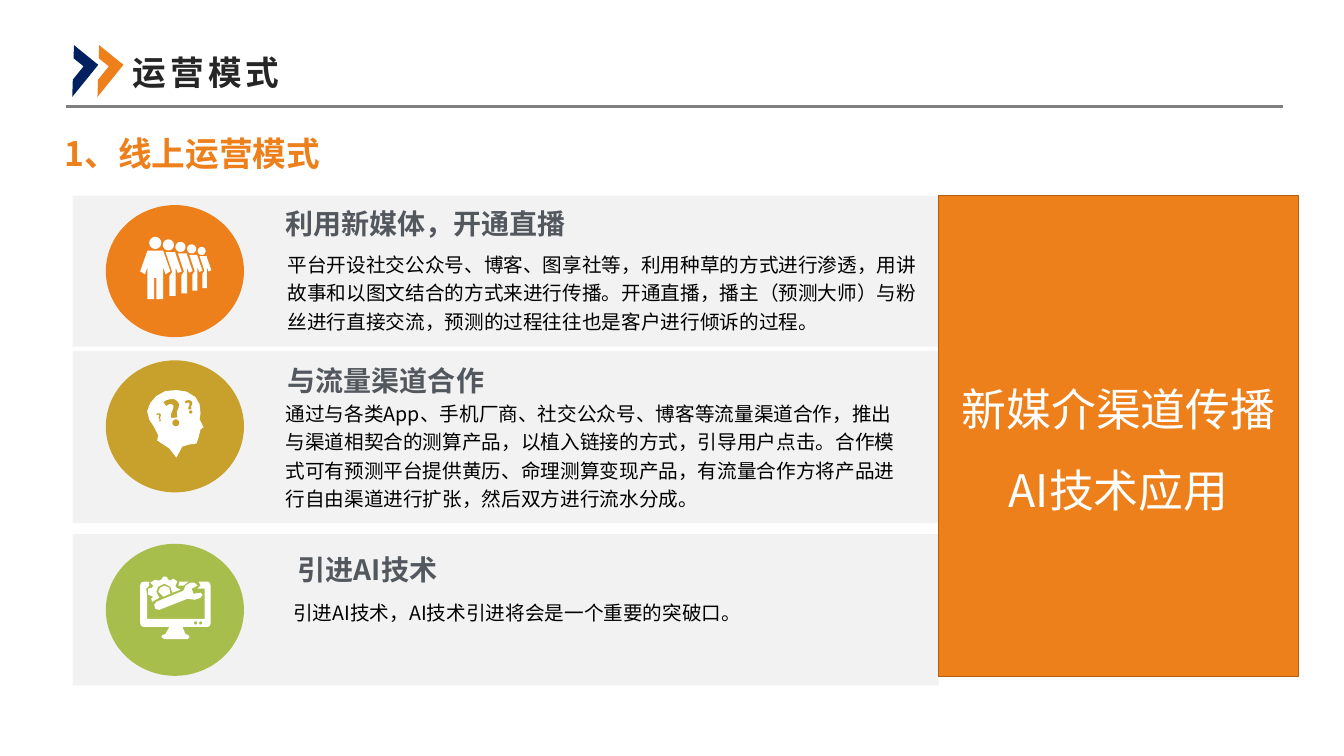
"""Build the slide on online operating modes, laid out on a grid of tenths of an inch."""
from math import cos, pi, sin

from lxml import etree
from pptx import Presentation
from pptx.dml.color import RGBColor
from pptx.enum import shapes, text
from pptx.oxml import ns
from pptx.util import Inches, Pt

theme = {
    "orange": "EE801C", "gold": "C8A02C", "green": "A7BD4C", "navy": "002060",
    "rust": "B05F15", "band": "F2F2F2", "rule": "808080", "white": "FFFFFF",
    "ink": "262626", "slate": "53585F", "black": "000000",
    "sans": "Noto Sans CJK SC", "latin": "Arial",
    "big": 32, "head": 24, "name": 20, "body": 14,
}
kinds = shapes.MSO_SHAPE
cell = Inches(0.1)


def draw(home, kind, box, fill, line=None):
    """Add a preset shape without shadow, with a solid fill."""
    shape = home.add_shape(kind, *(round(n * cell) for n in box))
    shape.shadow.inherit = False
    shape.fill.solid()
    shape.fill.fore_color.rgb = RGBColor.from_string(theme[fill])
    if line:
        shape.line.color.rgb = RGBColor.from_string(theme[line])
        shape.line.width = Pt(1)
    else:
        shape.line.fill.background()
    return shape


def write(shape, lines, size, tint, bold=False, face="sans", space=1.2, align="LEFT"):
    """Fill a shape with formatted paragraphs."""
    frame = shape.text_frame
    frame.word_wrap = True
    frame.auto_size = text.MSO_AUTO_SIZE.NONE
    frame.text = "\n".join(lines)
    look = {"size": Pt(theme[size]), "bold": bold, "name": theme[face]}
    for para in frame.paragraphs:
        para.line_spacing = space
        para.alignment = text.PP_ALIGN[align]
        for run in para.runs:
            run.font.color.rgb = RGBColor.from_string(theme[tint])
            for key, value in look.items():
                setattr(run.font, key, value)
            east = etree.SubElement(run._r.get_or_add_rPr(), ns.qn("a:ea"))
            east.set("typeface", theme["sans"])
    return frame


deck = Presentation()
deck.slide_width, deck.slide_height = Inches(13.33), Inches(7.5)
page = deck.slides.add_slide(deck.slide_layouts[5])
canvas = page.shapes

title = canvas.title
place = {"left": 12.15, "top": 3.25, "width": 22.3, "height": 7.7}
for key, value in place.items():
    setattr(title, key, round(value * cell))
frame = write(title, ["运营模式"], "head", "ink", True, "latin", 1.0)
frame.vertical_anchor = text.MSO_ANCHOR.MIDDLE
frame.paragraphs[0].runs[0]._r.get_or_add_rPr().set("spc", "300")

ends = [round(n * cell) for n in (6.55, 10.6, 127.25, 10.6)]
rule = canvas.add_connector(shapes.MSO_CONNECTOR.STRAIGHT, *ends)
rule.line.color.rgb = RGBColor.from_string(theme["rule"])
rule.line.width = Pt(2.25)
etree.SubElement(rule._element.spPr, ns.qn("a:effectLst"))

marks = canvas.add_group_shape().shapes
for left, tint in ((5.2, "navy"), (7.7, "orange")):
    draw(marks, kinds.HALF_FRAME, (left, 5.5, 4.1, 3.1), tint).rotation = 129

box = [round(n * cell) for n in (5.45, 11.9, 55.9, 5.2)]
write(canvas.add_textbox(*box), ["1、线上运营模式"], "head", "orange", True)

disc = [(cos(k * pi / 8), sin(k * pi / 8)) for k in range(16)]
torso = [(-1.3, 1.3), (1.3, 1.3), (2.5, 4.7), (1.7, 5.2), (1.3, 4), (1.3, 9.3),
         (0.2, 9.3), (0.2, 5.8), (-0.2, 5.8), (-0.2, 9.3), (-1.3, 9.3),
         (-1.3, 4), (-1.7, 5.2), (-2.5, 4.7)]
flank = [(-0.5, 1.3), (1.2, 1.3), (2.4, 4.8), (1.7, 5.1), (1.3, 4), (1.3, 9.2),
         (0.2, 9.2), (0.2, 5.6), (0.7, 4.9)]
crowd = []
for i in range(5):
    spot = (15.4 + 1.35 * i - 0.05 * i * i, 24.1 + 0.2 * i, 0.6 - 0.05 * i)
    crowd += [(disc, *spot), (flank if i else torso, *spot)]

face = [(2.9, 0), (3.9, 0.15), (4.8, 0.7), (5.2, 1.4), (5.3, 2.3), (5.2, 2.9),
        (5.6, 3.7), (5.3, 3.9), (5.2, 4.3), (5.1, 4.7), (5, 5), (4.9, 5.3),
        (4.2, 5.4), (3.5, 5.6), (2.9, 6.7), (2.2, 5.8), (1, 5), (1.1, 4.5),
        (0.7, 3.7), (0.2, 2.9), (0, 2.1), (0.3, 1.3), (0.9, 0.6), (1.8, 0.1)]
hook = [(0, 3), (3, 1), (7, 0), (11, 0), (14, 2), (16, 5), (15, 9), (13.5, 13),
        (14, 18), (8, 19), (7.5, 15), (10, 9), (10, 6), (8, 5), (6, 5), (3, 7)]
mind = [(face, 14.6, 38.7, 1)]
for x, y, k in ((16.2, 39.6, 0.1), (18.3, 39.7, 0.05), (15.5, 41, 0.03)):
    mind += [(hook, x, y, k), (disc, x + 12.5 * k, y + 23.5 * k, 3.5 * k)]

screen = [(0.9, 0.5), (0.4, 0.5), (0.1, 0.6), (0, 0.9), (0, 4.6), (0.1, 4.9),
          (0.4, 5), (2.9, 5), (2.5, 5.7), (2.2, 5.8), (2.1, 6), (2.4, 6.2),
          (4.7, 6.2), (4.9, 6), (4.8, 5.8), (4.5, 5.7), (4.2, 5), (6.7, 5),
          (6.9, 4.9), (7, 4.6), (7, 0.9), (6.9, 0.6), (6.7, 0.5), (5.8, 0.5),
          (6, 0.9), (5.7, 1.2), (6.4, 1.2), (6.4, 4.2), (0.7, 4.2), (0.7, 1.9),
          (0.6, 1.2), (0.9, 0.9)]
strip = [(3.9, 0.5), (4.8, 0.5), (4.3, 0.9), (3.8, 0.9)]
gear = [(0.8, 1.8), (0.8, 1.2), (1.2, 1.1), (1.3, 0.9), (1, 0.6), (1.5, 0.3),
        (1.8, 0.4), (2.1, 0.3), (2.3, 0), (2.6, 0), (2.8, 0.3), (3, 0.4),
        (3.3, 0.2), (3.7, 0.5), (3.5, 0.9), (3.6, 1.1), (4, 1.3), (3.2, 1.6),
        (3, 1), (2.4, 0.7), (1.8, 1), (1.6, 1.5), (1.9, 2.1), (1.2, 2.5),
        (1.1, 2.2), (1.3, 2)]
hub = [(2.4, 0.9), (2.9, 1.1), (3, 1.7), (2.3, 2), (1.8, 1.5), (2, 1.1)]
wrench = [(1.6, 2.5), (4.3, 1.4), (4.5, 0.9), (5, 0.6), (5.4, 0.6), (5.7, 0.9),
          (5.1, 1.2), (5.3, 1.7), (6, 1.6), (6.2, 1.8), (6, 2.1), (5.4, 2.3),
          (4.7, 2.2), (1.9, 3.3), (1.5, 3.2), (1.4, 2.8)]
tools = [(part, 13.9, 57.2, 1) for part in (screen, strip, gear, hub, wrench)]
tools += [(disc, x, 61.8, 0.16) for x in (19.4, 19.9)]

rows = [
    (19.4, 15, "orange", crowd,
     "利用新媒体，开通直播", (27.33, 19.35, 31.3, 5),
     "平台开设社交公众号、博客、图享社等，利用种草的方式进行渗透，用讲故事和以图文结合的方式来进行传播。"
     "开通直播，播主（预测大师）与粉丝进行直接交流，预测的过程往往也是客户进行倾诉的过程。",
     (27.55, 24.15, 64.4, 9.5)),
    (34.8, 17.1, "gold", mind,
     "与流量渠道合作", (27.55, 34.9, 25.5, 5),
     "通过与各类App、手机厂商、社交公众号、博客等流量渠道合作，推出与渠道相契合的测算产品，"
     "以植入链接的方式，引导用户点击。合作模式可有预测平台提供黄历、命理测算变现产品，"
     "有流量合作方将产品进行自由渠道进行扩张，然后双方进行流水分成。",
     (27.33, 38.93, 63.5, 12.3)),
    (53, 15, "green", tools,
     "引进AI技术", (28.55, 53.65, 25.5, 5),
     "引进AI技术，AI技术引进将会是一个重要的突破口。", (28.1, 58.7, 58.5, 3.8)),
]
for top, tall, tint, icon, name, spot, story, area in rows:
    group = canvas.add_group_shape().shapes
    draw(group, kinds.RECTANGLE, (7.2, top, 85.9, tall), "band")
    draw(group, kinds.OVAL, (10.5, top + 0.95, 13.7, 13.1), tint)
    for words, rect, size, shade, bold in (
            (name, spot, "name", "slate", True), (story, area, "body", "black", False)):
        box = [round(n * cell) for n in rect]
        write(group.add_textbox(*box), [words], size, shade, bold)
    pen = None
    for part, x, y, k in icon:
        spots = [(round((x + a * k) * cell), round((y + b * k) * cell)) for a, b in part]
        if pen:
            pen.move_to(*spots[0])
        else:
            pen = group.build_freeform(*spots[0], scale=1.0)
        pen.add_line_segments(spots[1:], close=True)
    sign = pen.convert_to_shape()
    sign.shadow.inherit = False
    sign.fill.solid()
    sign.fill.fore_color.rgb = RGBColor.from_string(theme["white"])
    sign.line.fill.background()

panel = draw(canvas, kinds.RECTANGLE, (93.1, 19.4, 35.7, 47.7), "orange", "rust")
frame = write(panel, ["新媒介渠道传播", "AI技术应用"], "big", "white", space=1.5, align="CENTER")
frame.vertical_anchor = text.MSO_ANCHOR.MIDDLE

deck.save("out.pptx")
